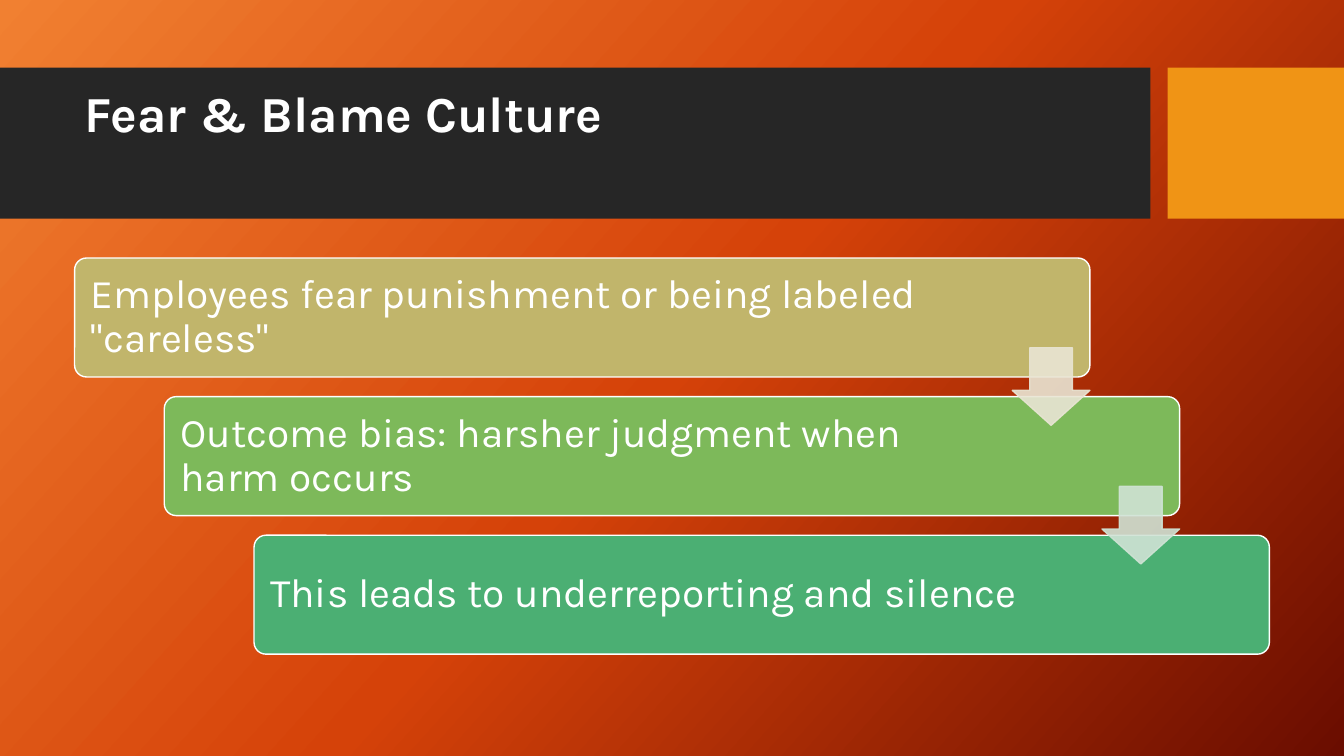
from copy import deepcopy

from lxml.etree import SubElement
from pptx import Presentation
from pptx.dml.color import RGBColor
from pptx.enum.shapes import MSO_SHAPE as Shape
from pptx.enum.text import MSO_ANCHOR as Anchor
from pptx.oxml.ns import qn
from pptx.util import Inches, Pt

WIDTH, HEIGHT = 13.33, 7.5
FONT, WHITE = "Karla", "FFFFFF"
STEPS = [
    ('Employees fear punishment or being labeled "careless"', "C1B56B", "E9E5D4", 8.79),
    ("Outcome bias: harsher judgment when harm occurs", "7DB95A", "D0E3D5", 8.34),
    ("This leads to underreporting and silence", "4BAF73", None, 8.34),
]


def color(hex_code):
    """Turn a hex string into a colour."""
    return RGBColor.from_string(hex_code)


def add_block(slide, kind, box, fill, line=None, adjustments=(), opacity=None):
    """Add a filled preset shape, with an optional outline and opacity."""
    shape = slide.shapes.add_shape(kind, *map(Inches, box))
    shape.shadow.inherit = False
    for index, value in enumerate(adjustments):
        shape.adjustments[index] = value
    shape.fill.solid()
    shape.fill.fore_color.rgb = color(fill)
    if line:
        shape.line.color.rgb = color(line)
        shape.line.width = Pt(1)
    else:
        shape.line.fill.background()
    if opacity:
        for element in shape.element.spPr.iter(qn("a:srgbClr")):
            SubElement(element, qn("a:alpha"), val=str(opacity * 1000))
    return shape


def add_text(slide, text, box, size, bold=False, anchor=Anchor.MIDDLE, inset=(0.12, 0.12)):
    """Add one wrapped paragraph of white text."""
    frame = slide.shapes.add_textbox(*map(Inches, box)).text_frame
    frame.word_wrap = True
    frame.vertical_anchor = anchor
    frame.margin_left = frame.margin_right = Inches(inset[0])
    frame.margin_top = frame.margin_bottom = Inches(inset[1])
    paragraph = frame.paragraphs[0]
    paragraph.line_spacing = 0.9
    run = paragraph.add_run()
    run.text = text
    run.font.name, run.font.size, run.font.bold = FONT, Pt(size), bold
    run.font.color.rgb = color(WHITE)


def paint_background(slide, colors, angle):
    """Fill the background with an evenly spaced gradient, angle clockwise."""
    fill = slide.background.fill
    fill.gradient()
    fill.gradient_angle = 360 - angle
    stops = next(slide.element.iter(qn("a:gsLst")))
    while len(stops) < len(colors):
        stops.append(deepcopy(stops[-1]))
    for index, (stop, hex_code) in enumerate(zip(fill.gradient_stops, colors)):
        stop.color.rgb = color(hex_code)
        stop.position = index / (len(colors) - 1)


def add_header(slide, box, title):
    """Draw the dark title band and the accent block to its right."""
    left, top, width, height = box
    accent, gap = 1.75, 0.17
    add_block(slide, Shape.RECTANGLE, (left, top, width - accent - gap, height), "262626")
    add_block(slide, Shape.RECTANGLE, (left + width - accent, top, accent, height), "F09415")
    add_text(slide, title, (left + 0.74, top + 0.15, 10.51, 1.18), 36, bold=True,
             anchor=Anchor.TOP, inset=(0.1, 0.06))


def add_staircase(slide, box, steps):
    """Draw the steps as a descending staircase joined by arrows."""
    left, top, width, height = box
    card_width, card_height, arrow, pad = 10.07, 1.18, 0.77, 0.04
    across = (width - card_width) / (len(steps) - 1)
    down = (height - card_height) / (len(steps) - 1)
    corners = [(left + i * across, top + i * down) for i in range(len(steps))]
    for (x, y), (text, fill, _, text_width) in zip(corners, steps):
        add_block(slide, Shape.ROUNDED_RECTANGLE, (x, y, card_width, card_height),
                  fill, WHITE, [0.1])
        add_text(slide, text, (x + pad, y + pad, text_width, card_height - 2 * pad), 29)
    for (x, y), (_, _, tint, _) in zip(corners, steps[:-1]):
        add_block(slide, Shape.DOWN_ARROW,
                  (x + card_width - arrow, y + 0.89, arrow, arrow),
                  tint, tint, [0.55, 0.45], opacity=90)


def main():
    """Build and save the slide."""
    presentation = Presentation()
    presentation.slide_width, presentation.slide_height = Inches(WIDTH), Inches(HEIGHT)
    slide = presentation.slides.add_slide(presentation.slide_layouts[6])
    paint_background(slide, ["F18031", "D54209", "6A0D00"], 42)
    add_header(slide, (0, 0.67, WIDTH, 1.5), "Fear & Blame Culture")
    add_staircase(slide, (0.74, 2.56, 11.85, 3.93), STEPS)
    presentation.save("out.pptx")


if __name__ == "__main__":
    main()
